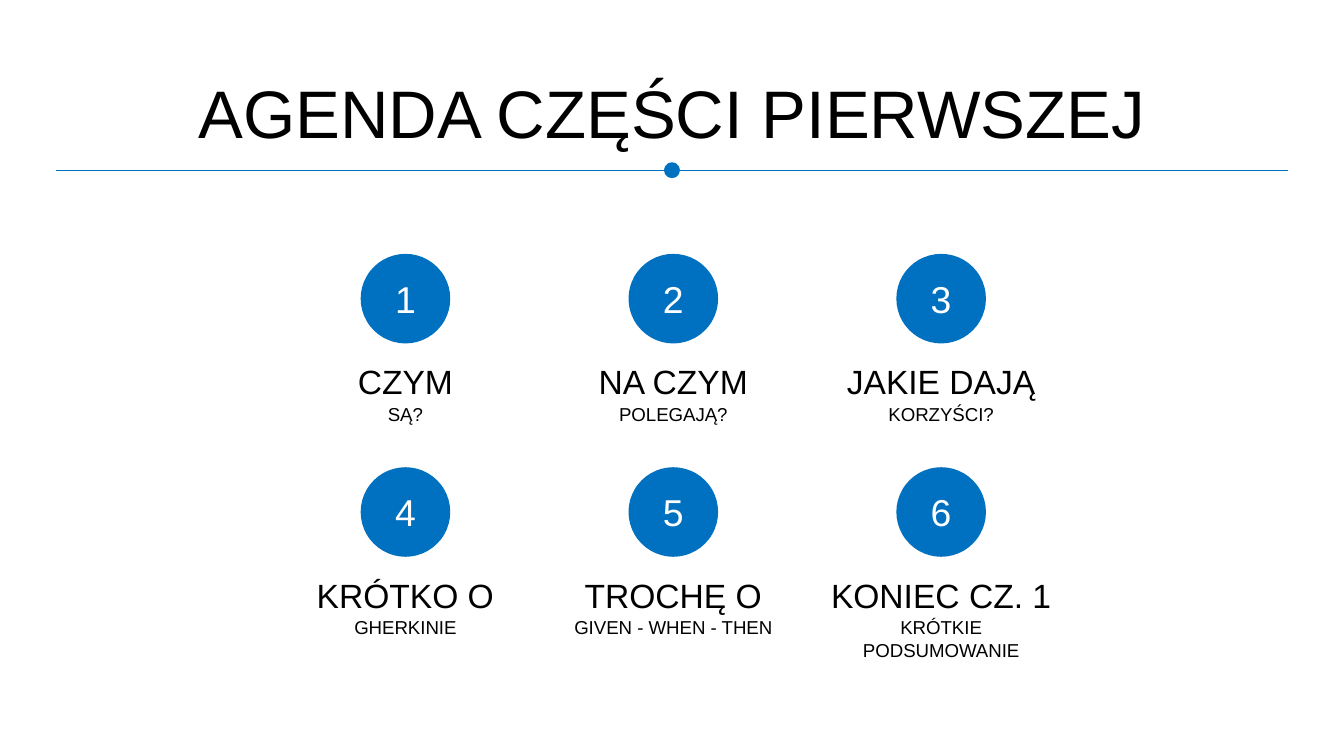
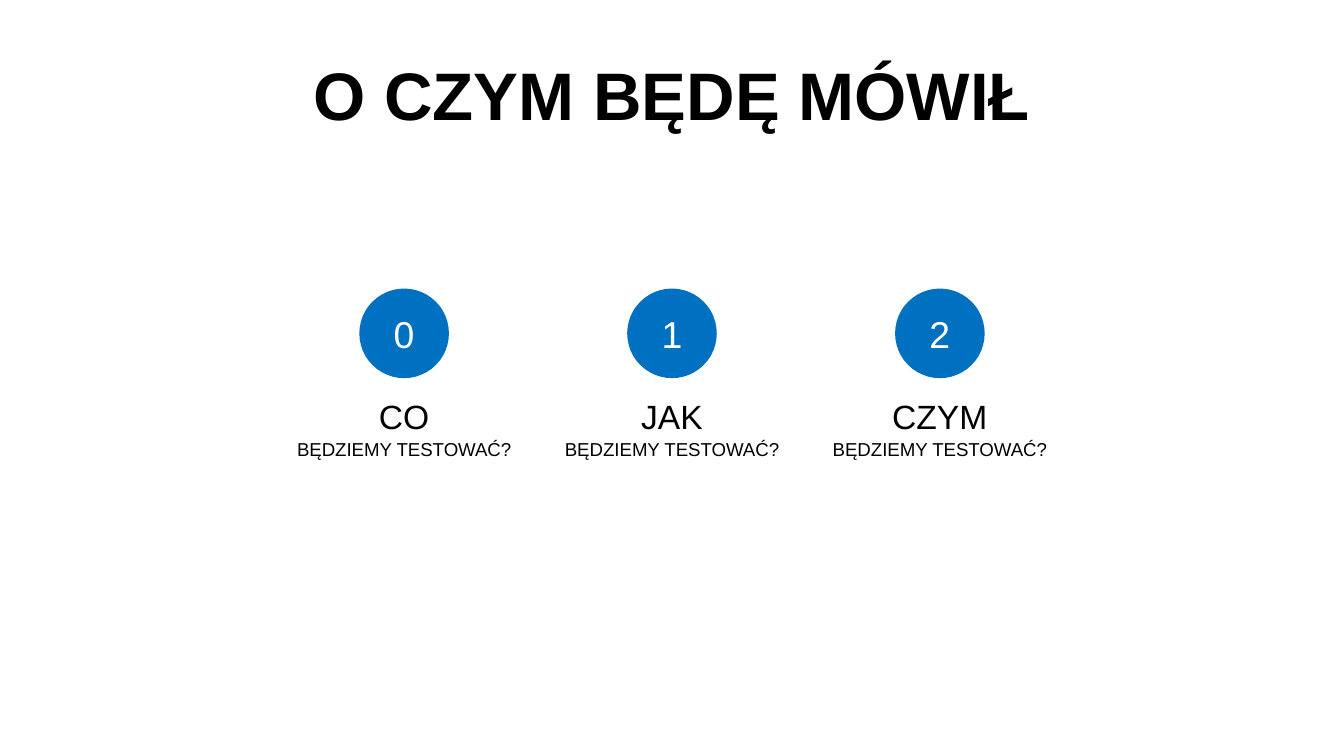
from dataclasses import dataclass

from lxml import etree
from pptx import Presentation
from pptx.dml.color import RGBColor
from pptx.enum.shapes import MSO_CONNECTOR, MSO_SHAPE
from pptx.enum.text import MSO_ANCHOR, MSO_AUTO_SIZE, PP_ALIGN
from pptx.oxml.ns import qn
from pptx.util import Pt

OVAL = MSO_SHAPE.OVAL
LINE = MSO_CONNECTOR.STRAIGHT
TOP, MIDDLE = MSO_ANCHOR.TOP, MSO_ANCHOR.MIDDLE
CENTER = PP_ALIGN.CENTER
FIXED = MSO_AUTO_SIZE.NONE


@dataclass(frozen=True)
class Theme:
    font: str = "Arial"
    blue: RGBColor = RGBColor(0x00, 0x70, 0xC0)
    black: RGBColor = RGBColor(0, 0, 0)
    white: RGBColor = RGBColor(255, 255, 255)
    title: float = 36
    number: float = 20
    head: float = 18
    note: float = 10


THEME = Theme()
COLS = 3
CARD_W, STEP_X, STEP_Y = 144, 143.5, 114.3
DISC = 48

AGENDA = [
    ("1", "CZYM", "SĄ?"),
    ("2", "NA CZYM", "POLEGAJĄ?"),
    ("3", "JAKIE DAJĄ", "KORZYŚCI?"),
    ("4", "KRÓTKO O", "GHERKINIE"),
    ("5", "TROCHĘ O", "GIVEN - WHEN - THEN"),
    ("6", "KONIEC CZ. 1", "KRÓTKIE PODSUMOWANIE"),
]
TOPICS = [
    (str(order), word, "BĘDZIEMY TESTOWAĆ?")
    for order, word in enumerate(("CO", "JAK", "CZYM"))
]


def write(shape, text, size, color, anchor=TOP, bold=False, pad=3.6):
    frame = shape.text_frame
    frame.text = text
    frame.word_wrap = True
    frame.auto_size = FIXED
    frame.vertical_anchor = anchor
    frame.margin_left = frame.margin_right = Pt(7.2)
    frame.margin_top = frame.margin_bottom = Pt(pad)
    line = frame.paragraphs[0]
    line.alignment = CENTER
    font = line.runs[0].font
    font.name, font.size, font.bold = THEME.font, Pt(size), bold
    font.color.rgb = color


def add_title(slide, box, text, **style):
    title = slide.shapes.title
    title.left, title.top, title.width, title.height = map(Pt, box)
    write(title, text, THEME.title, THEME.black, **style)


def add_disc(shapes, x, y, size):
    disc = shapes.add_shape(OVAL, Pt(x), Pt(y), Pt(size), Pt(size))
    disc.shadow.inherit = False
    disc.fill.solid()
    disc.fill.fore_color.rgb = THEME.blue
    disc.line.fill.background()
    return disc


def add_rule(slide, x, y, width, dot=6.5):
    shapes = slide.shapes.add_group_shape().shapes
    rule = shapes.add_connector(LINE, Pt(x), Pt(y), Pt(x + width), Pt(y))
    rule.line.color.rgb = THEME.blue
    rule.line.width = Pt(0.75)
    etree.SubElement(rule.element.spPr, qn("a:effectLst"))
    knob = add_disc(shapes, x + (width - dot) / 2, y - dot / 2, dot)
    knob.line.color.rgb = THEME.blue
    knob.line.width = Pt(2)


def add_card(slide, x, y, number, head, note):
    shapes = slide.shapes.add_group_shape().shapes
    disc = add_disc(shapes, x + (CARD_W - DISC) / 2, y, DISC)
    write(disc, number, THEME.number, THEME.white, MIDDLE)
    rows = ((head, THEME.head, 54, 29), (note, THEME.note, 76.3, 19.4))
    for text, size, drop, height in rows:
        label = shapes.add_textbox(Pt(x), Pt(y + drop), Pt(CARD_W), Pt(height))
        write(label, text, size, THEME.black)


def add_grid(slide, x, y, cards):
    for index, card in enumerate(cards):
        row, col = divmod(index, COLS)
        add_card(slide, x + col * STEP_X, y + row * STEP_Y, *card)


def add_agenda(slide):
    add_title(slide, (72, 34.6, 576, 51), "AGENDA CZĘŚCI PIERWSZEJ")
    add_rule(slide, 30, 91.2, 660)
    add_grid(slide, 145.2, 136, AGENDA)


def add_topics(slide):
    add_title(slide, (36, 16.6, 648, 67.5), "O CZYM BĘDĘ MÓWIŁ",
              anchor=MIDDLE, bold=True, pad=7.2)
    add_grid(slide, 144.5, 154.6, TOPICS)


def main():
    deck = Presentation()
    deck.slide_width, deck.slide_height = Pt(720), Pt(405)
    layout = deck.slide_layouts.get_by_name("Title Only")
    for build in (add_agenda, add_topics):
        build(deck.slides.add_slide(layout))
    deck.save("out.pptx")


if __name__ == "__main__":
    main()
